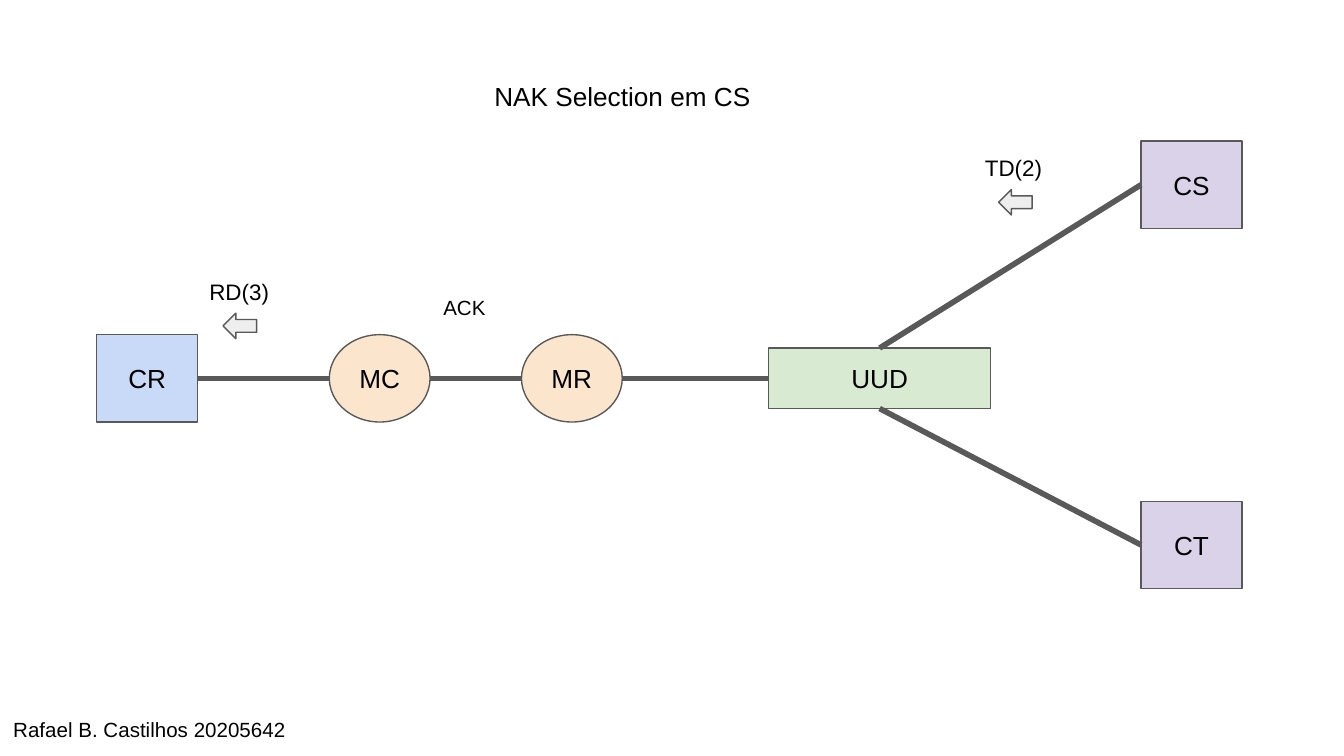
from itertools import pairwise

from lxml.etree import SubElement
from pptx import Presentation
from pptx.dml.color import RGBColor
from pptx.enum.shapes import MSO_CONNECTOR, MSO_SHAPE
from pptx.enum.text import MSO_ANCHOR, MSO_AUTO_SIZE, PP_ALIGN
from pptx.oxml.ns import qn
from pptx.util import Inches, Pt

COLUMNS, ROWS = 100, 56.25
CELL = Inches(10) / COLUMNS
NODE_WIDTH, NODE_HEIGHT = 7.5, 6.5
HUB_WIDTH, HUB_HEIGHT = 16.5, 4.5
OUTLINE = "595959"


def grid(*lengths):
    """Turn lengths in grid cells into slide lengths."""
    return [round(length * CELL) for length in lengths]


def color(value):
    """Return the colour of a hex string."""
    return RGBColor.from_string(value)


def write(shape, text, size, align=PP_ALIGN.LEFT, anchor=MSO_ANCHOR.TOP):
    """Write one line of text in a shape."""
    frame = shape.text_frame
    frame.word_wrap = True
    frame.vertical_anchor = anchor
    frame.margin_left = frame.margin_right = Inches(0.1)
    frame.margin_top = frame.margin_bottom = Inches(0.1)
    para = frame.paragraphs[0]
    para.alignment = align
    span = para.add_run()
    span.text = text
    span.font.name = "Arial"
    span.font.size = Pt(size)
    span.font.color.rgb = color("000000")


def add_figure(page, kind, box, fill):
    """Add a filled and outlined preset shape."""
    shape = page.shapes.add_shape(kind, *grid(*box))
    shape.shadow.inherit = False
    shape.fill.solid()
    shape.fill.fore_color.rgb = color(fill)
    shape.line.color.rgb = color(OUTLINE)
    shape.line.width = Pt(0.75)
    return shape


def add_node(page, kind, box, fill, name):
    """Add a named network node."""
    node = add_figure(page, kind, box, fill)
    write(node, name, 14, PP_ALIGN.CENTER, MSO_ANCHOR.MIDDLE)
    return node


def side(node, across, down):
    """Return the point at the given shares of a node's width and height."""
    return (round(node.left + node.width * across),
            round(node.top + node.height * down))


def add_link(page, start, end):
    """Join two points with a thick line."""
    link = page.shapes.add_connector(MSO_CONNECTOR.STRAIGHT, *start, *end)
    link.line.color.rgb = color(OUTLINE)
    link.line.width = Pt(3)
    SubElement(link._element.spPr, qn("a:effectLst"))


def add_caption(page, box, text, size):
    """Add a plain line of text."""
    caption = page.shapes.add_textbox(*grid(*box))
    write(caption, text, size)
    caption.text_frame.auto_size = MSO_AUTO_SIZE.SHAPE_TO_FIT_TEXT


def add_message(page, box, text):
    """Add a message label with its left arrow below."""
    left, top, width, height = box
    add_caption(page, (left, top, width, 4), text, 12)
    arrow = (left + 2, top + height - 1.9, 2.5, 1.9)
    add_figure(page, MSO_SHAPE.LEFT_ARROW, arrow, "EEEEEE")


def add_network(page, box):
    """Add the chain of nodes and the two stations that branch off the hub."""
    left, top, width, height = box
    axis = top + 17.65
    chain = []
    for name, kind, offset, node_width, node_height, fill in (
        ("CR", MSO_SHAPE.RECTANGLE, 0, NODE_WIDTH, NODE_HEIGHT, "C9DAF8"),
        ("MC", MSO_SHAPE.OVAL, 17.3, NODE_WIDTH, NODE_HEIGHT, "FCE5CD"),
        ("MR", MSO_SHAPE.OVAL, 31.6, NODE_WIDTH, NODE_HEIGHT, "FCE5CD"),
        ("UUD", MSO_SHAPE.RECTANGLE, 50, HUB_WIDTH, HUB_HEIGHT, "D9EAD3"),
    ):
        place = (left + offset, axis - node_height / 2, node_width, node_height)
        chain.append(add_node(page, kind, place, fill, name))
    for before, after in pairwise(chain):
        add_link(page, side(before, 1, 0.5), side(after, 0, 0.5))

    hub = chain[-1]
    for name, share in (("CS", 0), ("CT", 1)):
        place = (left + width - NODE_WIDTH, top + (height - NODE_HEIGHT) * share,
                 NODE_WIDTH, NODE_HEIGHT)
        station = add_node(page, MSO_SHAPE.RECTANGLE, place, "D9D2E9", name)
        add_link(page, side(hub, 0.5, share), side(station, 0, 0.5))


def main():
    """Build the slide and save it."""
    deck = Presentation()
    deck.slide_width, deck.slide_height = grid(COLUMNS, ROWS)
    page = deck.slides.add_slide(deck.slide_layouts[6])
    add_network(page, (7.2, 10.5, 85.2, 33.3))
    add_message(page, (72.3, 10.5, 9.4, 5.5), "TD(2)")
    add_message(page, (14.6, 19.7, 9.4, 5.5), "RD(3)")
    add_caption(page, (32, 21, 6.8, 3.9), "ACK", 11)
    add_caption(page, (35.8, 5, 21.6, 4.4), "NAK Selection em CS", 14)
    add_caption(page, (0, 52.4, 23.6, 3.9), "Rafael B. Castilhos 20205642", 11)
    deck.save("out.pptx")


if __name__ == "__main__":
    main()
